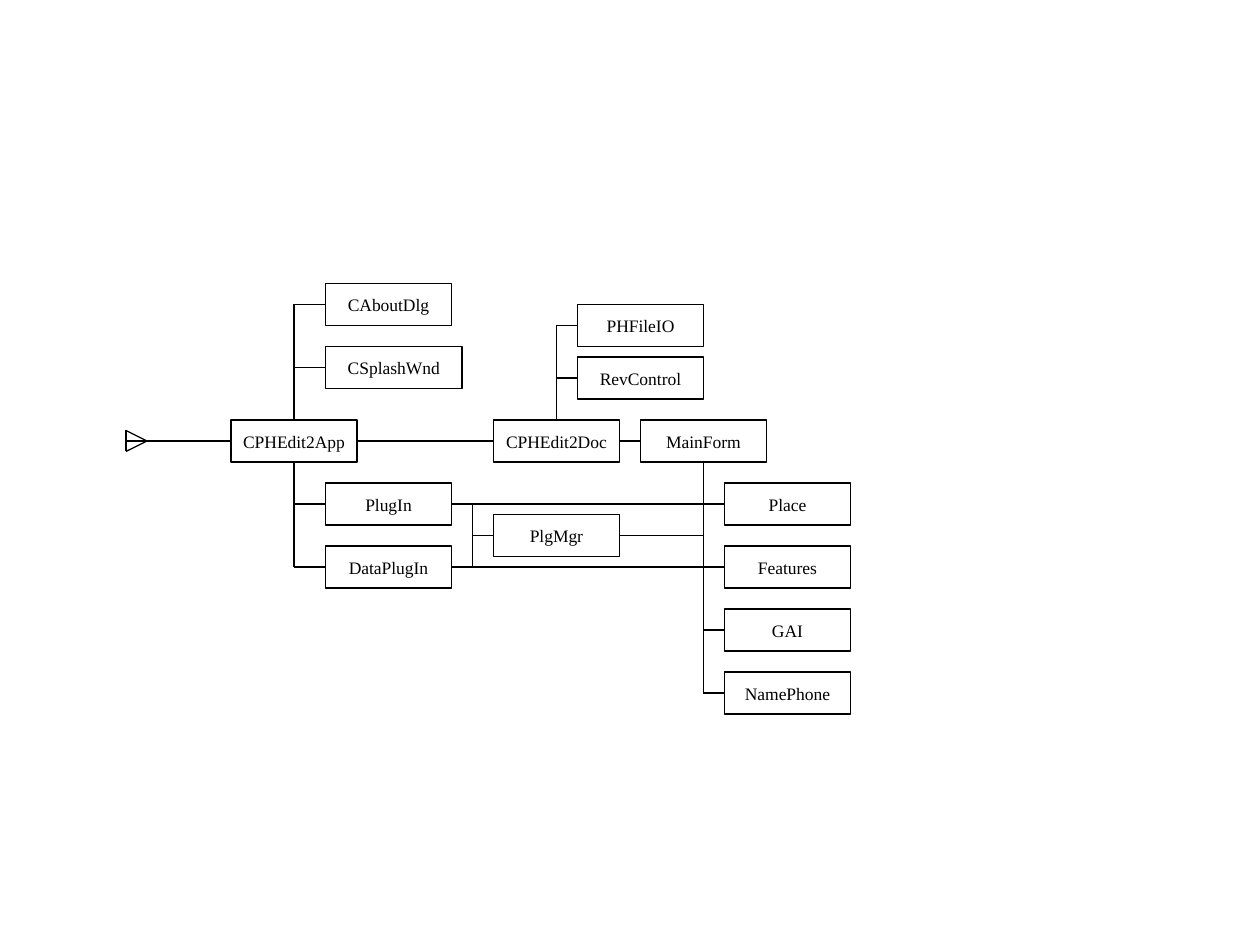
from lxml.etree import SubElement
from pptx import Presentation
from pptx.dml.color import RGBColor
from pptx.enum.shapes import MSO_CONNECTOR, MSO_SHAPE
from pptx.enum.text import MSO_ANCHOR, PP_ALIGN
from pptx.oxml.ns import qn
from pptx.util import Inches, Pt

BLACK = RGBColor(0, 0, 0)
LINE_WIDTH = Pt(0.75)
FONT = {"name": "Times New Roman", "size": Pt(10)}
FRAME = {"word_wrap": False, "vertical_anchor": MSO_ANCHOR.MIDDLE}

# The diagram lies on a grid of twelve units to the inch.
UNITS_PER_INCH = 12
BOX_WIDTH, BOX_HEIGHT = 12, 4
WIDE_BOXES = {"CSplashWnd": 13}

# Boxes on the main row: name, left
MAIN_TOP = 40
MAIN_BOXES = [("CPHEdit2App", 22), ("CPHEdit2Doc", 47), ("MainForm", 61)]

# Branches: trunk x, trunk start y, box left, [(name, top)]
BRANCHES = [
    (28, 40, 31, [("CSplashWnd", 33), ("CAboutDlg", 27)]),
    (28, 44, 31, [("PlugIn", 46), ("DataPlugIn", 52)]),
    (53, 40, 55, [("RevControl", 34), ("PHFileIO", 29)]),
    (67, 44, 69, [("Place", 46), ("Features", 52), ("GAI", 58), ("NamePhone", 64)]),
    (45, 48, 47, [("PlgMgr", 49)]),
]

# Further lines: x1, y1, x2, y2
LINKS = [
    (43, 48, 67, 48),  # PlugIn to the MainForm trunk
    (43, 54, 67, 54),  # DataPlugIn to the MainForm trunk
    (59, 51, 67, 51),  # PlgMgr to the MainForm trunk
    (45, 51, 45, 54),  # PlgMgr trunk down to DataPlugIn
]
ENTRY_LINES = [
    (12, 42, 22, 42),
    (12, 41, 12, 43),
    (14, 42, 12, 43),
    (14, 42, 12, 41),
]


def grid(*units):
    return [Inches(unit / UNITS_PER_INCH) for unit in units]


def set_format(target, values):
    for name, value in values.items():
        setattr(target, name, value)


def draw_outline(shape):
    shape.line.color.rgb = BLACK
    shape.line.width = LINE_WIDTH


def add_box(slide, name, left, top):
    width = WIDE_BOXES.get(name, BOX_WIDTH)
    box = slide.shapes.add_shape(
        MSO_SHAPE.RECTANGLE, *grid(left, top, width, BOX_HEIGHT))
    box.shadow.inherit = False
    box.fill.background()
    draw_outline(box)
    set_format(box.text_frame, FRAME)
    paragraph = box.text_frame.paragraphs[0]
    paragraph.alignment = PP_ALIGN.CENTER
    run = paragraph.add_run()
    run.text = name
    set_format(run.font, FONT)
    run.font.color.rgb = BLACK


def add_line(slide, *ends):
    line = slide.shapes.add_connector(MSO_CONNECTOR.STRAIGHT, *grid(*ends))
    draw_outline(line)
    SubElement(line._element.spPr, qn("a:effectLst"))


def add_main_row(slide):
    middle = MAIN_TOP + BOX_HEIGHT / 2
    for name, left in MAIN_BOXES:
        add_box(slide, name, left, MAIN_TOP)
    for (_, left), (_, next_left) in zip(MAIN_BOXES, MAIN_BOXES[1:]):
        add_line(slide, left + BOX_WIDTH, middle, next_left, middle)


def add_branch(slide, trunk, start, left, boxes):
    for name, top in boxes:
        middle = top + BOX_HEIGHT / 2
        add_box(slide, name, left, top)
        add_line(slide, trunk, middle, left, middle)
    add_line(slide, trunk, start, trunk, middle)


def main():
    presentation = Presentation()
    presentation.slide_width, presentation.slide_height = Inches(10), Inches(7.5)
    slide = presentation.slides.add_slide(presentation.slide_layouts[6])
    add_main_row(slide)
    for branch in BRANCHES:
        add_branch(slide, *branch)
    for ends in LINKS + ENTRY_LINES:
        add_line(slide, *ends)
    presentation.save("out.pptx")


if __name__ == "__main__":
    main()
